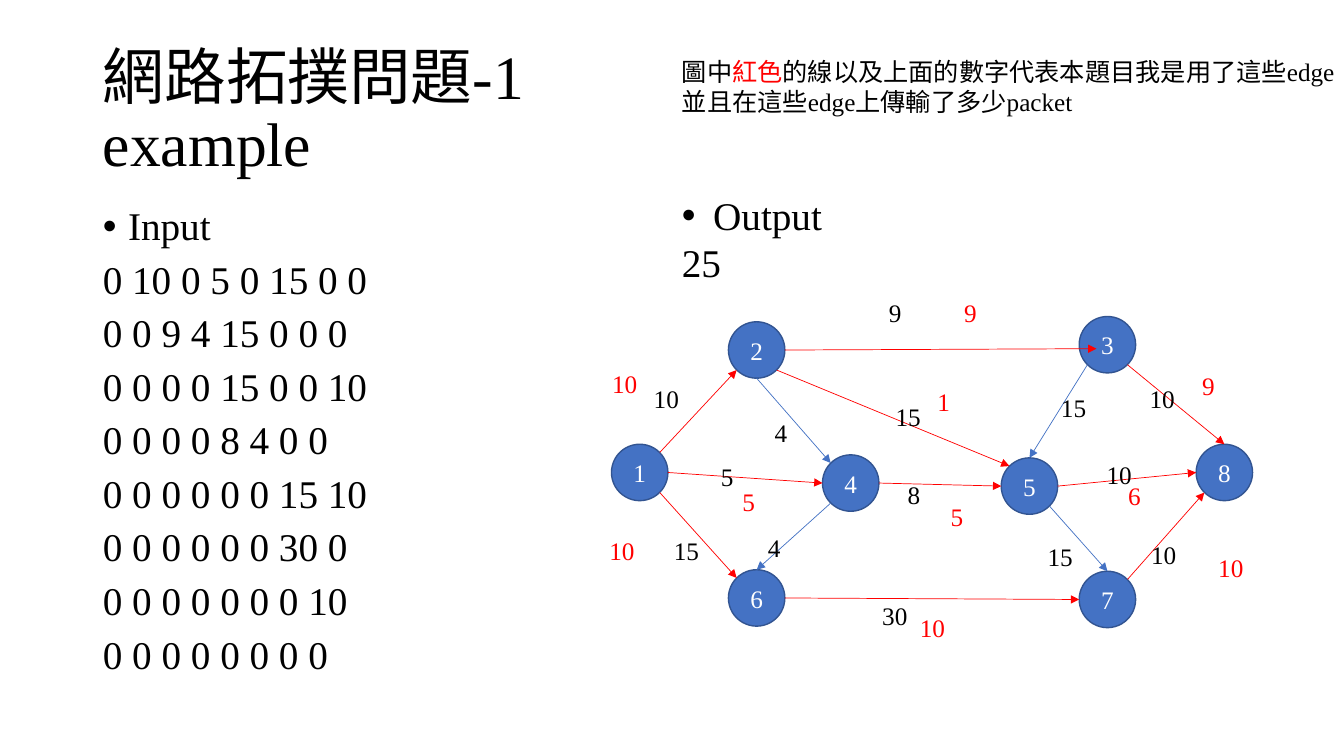
import pptx
import pptx.util
import pptx.dml.color
import pptx.enum.shapes
import pptx.enum.text
import pptx.oxml.ns
import lxml.etree

Pt = pptx.util.Pt
RED, BLUE, EDGE, BLACK, WHITE = "FF0000", "4472C4", "325491", "000000", "FFFFFF"


def tint(code):
    return pptx.dml.color.RGBColor.from_string(code)


def add(parent, tag, **attrs):
    return lxml.etree.SubElement(parent, pptx.oxml.ns.qn(tag), attrs)


class Deck:
    font = "Times New Roman"
    wide, high = 13.33, 7.5
    size = 0.56
    diag = 0.71
    sites = {"n": (0, -1), "s": (0, 1), "e": (1, 0), "w": (-1, 0),
             "ne": (diag, -diag), "nw": (-diag, -diag),
             "se": (diag, diag), "sw": (-diag, diag),
             "in": (-0.39, 0.14)}

    def __init__(self):
        self.show = pptx.Presentation()
        self.show.slide_width = pptx.util.Inches(self.wide)
        self.show.slide_height = pptx.util.Inches(self.high)
        self.page = self.show.slides.add_slide(self.show.slide_layouts[1])
        self.nodes = {}

    def col(self, share):
        return pptx.util.Inches(self.wide * share / 100)

    def row(self, share):
        return pptx.util.Inches(self.high * share / 100)

    def box(self, left, top, width, height):
        return self.col(left), self.row(top), self.col(width), self.row(height)

    def style(self, frame, size, color=BLACK):
        for para in frame.paragraphs:
            para.font.size = Pt(size)
            for run in para.runs:
                run.font.size = Pt(size)
                run.font.name = self.font
                run.font.color.rgb = tint(color)

    def mark(self, para, indent):
        props = para._p.get_or_add_pPr()
        gap = pptx.util.Inches(indent)
        props.set("marL", str(gap))
        props.set("indent", str(-gap))
        if indent:
            add(props, "a:buFont", typeface="Arial")
            add(props, "a:buChar", char="•")
        else:
            add(props, "a:buNone")

    def fill(self, holder, place, text, size, before=0):
        holder.left, holder.top, holder.width, holder.height = self.box(*place)
        frame = holder.text_frame
        frame.text = text
        frame.auto_size = pptx.enum.text.MSO_AUTO_SIZE.NONE
        for para in frame.paragraphs:
            para.alignment = pptx.enum.text.PP_ALIGN.LEFT
            para.line_spacing = 0.9
            para.space_before = Pt(before)
        self.style(frame, size)
        return frame

    def title(self, place, text):
        frame = self.fill(self.page.shapes.title, place, text, 44)
        frame.vertical_anchor = pptx.enum.text.MSO_ANCHOR.MIDDLE

    def body(self, place, head, rows):
        text = "\n".join([head, *rows])
        frame = self.fill(self.page.placeholders[1], place, text, 28, 8)
        for rank, para in enumerate(frame.paragraphs):
            self.mark(para, 0 if rank else 0.25)

    def text(self, place, words, size, color=BLACK, wrap=True):
        frame = self.page.shapes.add_textbox(*self.box(*place)).text_frame
        frame.text = words
        frame.word_wrap = wrap
        self.style(frame, size, color)
        return frame

    def label(self, spot, value, color):
        self.text((*spot, 3.8, 5.3), str(value), 18, color)

    def node(self, name, x, y):
        self.nodes[name] = self.col(x), self.row(y)
        side = pptx.util.Inches(self.size)
        left, top = (mid - side // 2 for mid in self.nodes[name])
        oval = self.page.shapes.add_shape(
            pptx.enum.shapes.MSO_SHAPE.OVAL, left, top, side, side)
        oval.shadow.inherit = False
        oval.fill.solid()
        oval.fill.fore_color.rgb = tint(BLUE)
        oval.line.color.rgb = tint(EDGE)
        oval.line.width = Pt(1)
        frame = oval.text_frame
        frame.text = str(name)
        frame.vertical_anchor = pptx.enum.text.MSO_ANCHOR.MIDDLE
        frame.paragraphs[0].alignment = pptx.enum.text.PP_ALIGN.CENTER
        self.style(frame, 18, WHITE)

    def port(self, name, site):
        reach = pptx.util.Inches(self.size / 2)
        return [int(mid + reach * way)
                for mid, way in zip(self.nodes[name], self.sites[site])]

    def arrow(self, start, end, color):
        line = self.page.shapes.add_connector(
            pptx.enum.shapes.MSO_CONNECTOR.STRAIGHT,
            *self.port(*start), *self.port(*end))
        line.line.color.rgb = tint(color)
        line.line.width = Pt(0.5)
        add(line.line._get_or_add_ln(), "a:tailEnd", type="triangle")
        add(line._element.spPr, "a:effectLst")


NODES = [(47.6, 62.5), (56.3, 46.3), (82.4, 45.6), (63.3, 63.9),
         (76.6, 64.3), (56.3, 79.1), (82.4, 79.3), (91.1, 62.5)]
LINKS = [
    ((1, "ne"), (2, "sw"), 10, (47.9, 50), 10, (44.8, 48)),
    ((2, "e"), (3, "in"), 9, (65.4, 38.7), 9, (71, 38.7)),
    ((2, "s"), (4, "nw"), 4, (56.9, 54.5), 0, None),
    ((2, "se"), (5, "nw"), 15, (65.9, 52.4), 1, (69, 50.4)),
    ((3, "sw"), (5, "n"), 15, (78.2, 51.2), 0, None),
    ((4, "e"), (5, "w"), 8, (66.8, 62.8), 5, (70, 65.7)),
    ((4, "sw"), (6, "n"), 4, (56.4, 69.7), 0, None),
    ((1, "e"), (4, "w"), 5, (52.9, 60.4), 5, (54.5, 63.7)),
    ((1, "se"), (6, "nw"), 15, (49.4, 70.1), 10, (44.6, 70.1)),
    ((6, "e"), (7, "w"), 30, (64.9, 78.8), 10, (67.7, 80.4)),
    ((7, "ne"), (8, "sw"), 10, (84.9, 70.7), 10, (89.9, 72.4)),
    ((5, "se"), (7, "n"), 15, (77.2, 70.9), 0, None),
    ((5, "e"), (8, "w"), 10, (81.6, 60.1), 6, (83.2, 62.9)),
    ((3, "se"), (8, "n"), 10, (84.8, 50), 9, (88.7, 48.3)),
]

deck = Deck()
deck.title((6.9, 5.3, 86.3, 19.3), "網路拓撲問題-1\vexample")

grid = [[0] * len(NODES) for _ in NODES]
for (tail, _), (head, _), cap, *_ in LINKS:
    grid[tail - 1][head - 1] = cap
deck.body((6.9, 26.7, 43.1, 63.5), "Input",
          [" ".join(map(str, caps)) for caps in grid])

result = deck.text((50, 24.7, 50, 13.9), "Output\n25", 28)
deck.mark(result.paragraphs[0], 0.31)

for name, spot in enumerate(NODES, 1):
    deck.node(name, *spot)
for start, end, cap, spot, flow, place in LINKS:
    deck.arrow(start, end, RED if flow else BLUE)
for start, end, cap, spot, flow, place in LINKS:
    deck.label(spot, cap, BLACK)
    if flow:
        deck.label(place, flow, RED)

note = deck.text((50, 6.8, 50.6, 9.5), "圖中\n並且在這些edge上傳輸了多少packet", 18, wrap=False)
first = note.paragraphs[0]
for words in ("紅色", "的線以及上面的數字代表本題目我是用了這些edge"):
    first.add_run().text = words
deck.style(note, 18)
first.runs[1].font.color.rgb = tint(RED)

deck.show.save("out.pptx")
